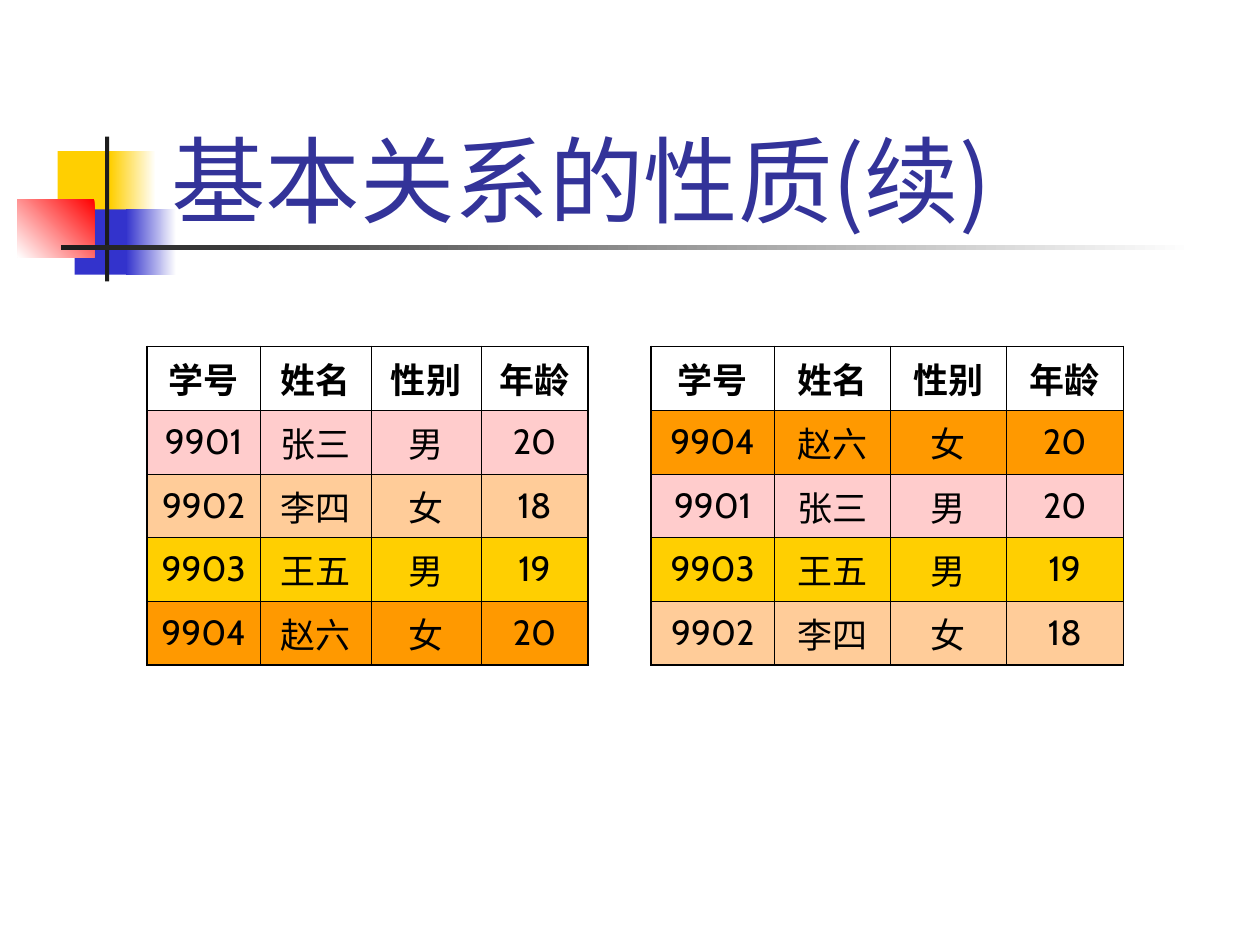
from lxml import etree
from pptx import Presentation
from pptx.dml.color import RGBColor
from pptx.enum.shapes import MSO_SHAPE
from pptx.enum.text import MSO_ANCHOR, PP_ALIGN
from pptx.oxml.ns import qn
from pptx.util import Pt

RECTANGLE = MSO_SHAPE.RECTANGLE
MIDDLE, BOTTOM = MSO_ANCHOR.MIDDLE, MSO_ANCHOR.BOTTOM
LEFT, CENTER = PP_ALIGN.LEFT, PP_ALIGN.CENTER

WHITE = RGBColor(0xFF, 0xFF, 0xFF)
BLACK = RGBColor(0x00, 0x00, 0x00)
CHARCOAL = RGBColor(0x1C, 0x1C, 0x1C)
YELLOW = RGBColor(0xFF, 0xCF, 0x01)
BLUE = RGBColor(0x33, 0x33, 0xCC)
RED = RGBColor(0xFF, 0x00, 0x00)
TITLE_BLUE = RGBColor(0x33, 0x33, 0x99)
PINK = RGBColor(0xFF, 0xCC, 0xCC)
PEACH = RGBColor(0xFF, 0xCC, 0x99)
ORANGE = RGBColor(0xFF, 0x99, 0x00)

LATIN_FONT = "Cabin"
CHINESE_FONT = "Noto Sans CJK SC"
THIN, THICK = Pt(0.45), Pt(1.08)
ROW_HEIGHT = 36.4

HEADERS = ("学号", "姓名", "性别", "年龄")
STUDENTS = {
    "9901": ("张三", "男", "20", PINK),
    "9902": ("李四", "女", "18", PEACH),
    "9903": ("王五", "男", "19", YELLOW),
    "9904": ("赵六", "女", "20", ORANGE),
}


def write_text(frame, text, size=20, font=LATIN_FONT, color=BLACK, bold=False,
               align=CENTER, space_before=5):
    paragraph = frame.paragraphs[0]
    paragraph.alignment = align
    paragraph.space_before = Pt(space_before)
    run = paragraph.add_run()
    run.text = text
    run.font.size = Pt(size)
    run.font.name = font
    run.font.bold = bold
    run.font.color.rgb = color
    east_asian = etree.SubElement(run.font._element, qn("a:ea"))
    east_asian.set("typeface", CHINESE_FONT)


def set_borders(cell, **widths):
    """Draw black borders; the keys are L, R, T and B, in that order."""
    properties = cell._tc.get_or_add_tcPr()
    for side, width in widths.items():
        line = etree.SubElement(properties, qn(f"a:ln{side}"), w=str(width))
        fill = etree.SubElement(line, qn("a:solidFill"))
        etree.SubElement(fill, qn("a:srgbClr"), val=str(BLACK))


class SlideBuilder:
    def __init__(self, slide):
        self.slide = slide

    def block(self, left, top, width, height, start, end=None, angle=180):
        """Add a rectangle, solid or fading from start to end (counter-clockwise angle)."""
        shape = self.slide.shapes.add_shape(
            RECTANGLE, Pt(left), Pt(top), Pt(width), Pt(height))
        shape.shadow.inherit = False
        shape.line.fill.background()
        if end is None:
            shape.fill.solid()
            shape.fill.fore_color.rgb = start
            return
        shape.fill.gradient()
        shape.fill.gradient_angle = angle
        for stop, color in zip(shape.fill.gradient_stops, (start, end)):
            stop.color.rgb = color

    def title(self, left, top, width, height, text):
        box = self.slide.shapes.add_textbox(Pt(left), Pt(top), Pt(width), Pt(height))
        frame = box.text_frame
        frame.word_wrap = True
        frame.vertical_anchor = BOTTOM
        write_text(frame, text, size=54, font=CHINESE_FONT, color=TITLE_BLUE,
                   align=LEFT, space_before=0)

    def student_table(self, left, top, column_widths, numbers):
        rows = [(HEADERS, None)]
        for number in numbers:
            *details, color = STUDENTS[number]
            rows.append(((number, *details), color))
        table = self.slide.shapes.add_table(
            len(rows), len(HEADERS), Pt(left), Pt(top),
            Pt(sum(column_widths)), Pt(ROW_HEIGHT * len(rows))).table
        table.first_row = table.horz_banding = False
        for column, width in zip(table.columns, column_widths):
            column.width = Pt(width)
        last_row, last_column = len(rows) - 1, len(HEADERS) - 1
        for row_index, (texts, color) in enumerate(rows):
            table.rows[row_index].height = Pt(ROW_HEIGHT)
            for column_index, text in enumerate(texts):
                cell = table.cell(row_index, column_index)
                cell.vertical_anchor = MIDDLE
                write_text(cell.text_frame, text, bold=row_index == 0)
                set_borders(
                    cell,
                    L=THICK if column_index == 0 else THIN,
                    R=THICK if column_index == last_column else THIN,
                    T=THICK if row_index == 0 else THIN,
                    B=THICK if row_index == last_row else THIN)
                if color is None:
                    cell.fill.background()
                else:
                    cell.fill.solid()
                    cell.fill.fore_color.rgb = color


def main():
    presentation = Presentation()
    presentation.slide_width, presentation.slide_height = Pt(720), Pt(540)
    builder = SlideBuilder(presentation.slides.add_slide(presentation.slide_layouts[6]))

    builder.block(33, 86.4, 34.5, 37.4, YELLOW)
    builder.block(63, 86.4, 26, 37.4, WHITE, YELLOW)
    builder.block(42.6, 119.6, 33, 37.4, BLUE)
    builder.block(72, 119.6, 28.8, 37.4, WHITE, BLUE)
    builder.block(10, 113.8, 44, 33.2, RED, WHITE, angle=225)
    builder.block(60, 78, 2.4, 82.8, CHARCOAL)
    builder.block(34.6, 140.2, 648, 2.4, WHITE, CHARCOAL)

    builder.student_table(84, 198, (64.8, 63.2, 63, 61),
                          ("9901", "9902", "9903", "9904"))
    builder.student_table(372, 198, (70.6, 66.2, 66.2, 67),
                          ("9904", "9901", "9903", "9902"))
    builder.title(90.7, 48.2, 613.4, 90, "基本关系的性质(续)")

    presentation.save("out.pptx")


if __name__ == "__main__":
    main()
